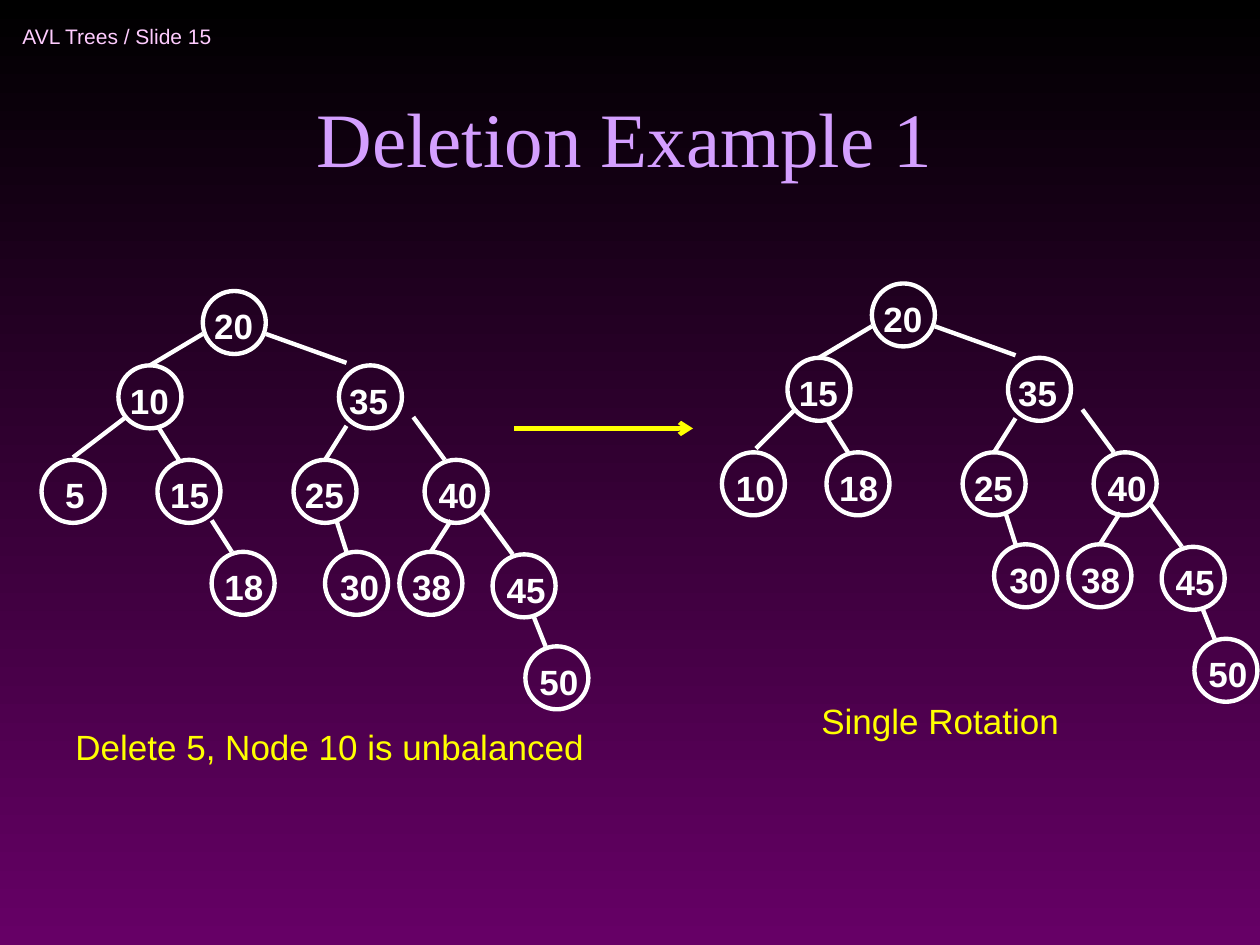
from pptx import Presentation
from pptx.dml.color import RGBColor
from pptx.enum.shapes import MSO_CONNECTOR, MSO_SHAPE
from pptx.enum.text import MSO_ANCHOR, MSO_AUTO_SIZE, PP_ALIGN
from pptx.oxml.ns import qn
from pptx.util import Inches, Pt
from lxml import etree

STRAIGHT = MSO_CONNECTOR.STRAIGHT
OVAL = MSO_SHAPE.OVAL
TOP, MIDDLE, BOTTOM = MSO_ANCHOR.TOP, MSO_ANCHOR.MIDDLE, MSO_ANCHOR.BOTTOM
NO_AUTOFIT = MSO_AUTO_SIZE.NONE
LEFT, CENTER = PP_ALIGN.LEFT, PP_ALIGN.CENTER

BLACK = RGBColor(0x00, 0x00, 0x00)
PURPLE = RGBColor(0x66, 0x00, 0x66)
PINK = RGBColor(0xFF, 0xCC, 0xFF)
LILAC = RGBColor(0xD4, 0x9F, 0xFF)
YELLOW = RGBColor(0xFF, 0xFF, 0x00)
WHITE = RGBColor(0xFF, 0xFF, 0xFF)

DIAMETER = 0.5
LINE_WIDTH = Pt(2.5)
LABEL_WIDTH, LABEL_HEIGHT, LABEL_DROP = 0.51, 0.44, 0.06

# Each node: value, x, y, label shift, edge from its parent (start, end) or None.
# All places are relative to the top left of the tree.
RIGHT_BRANCH = [
    (20, 1.28, 0, -0.01, None),
    (35, 2.36, 0.59, -0.02, ((1.78, 0.34), (2.42, 0.57))),
    (25, 2, 1.34, -0.01, ((2.42, 1.07), (2.25, 1.34))),
    (40, 3.04, 1.34, 0.01, ((2.95, 1), (3.2, 1.34))),
    (30, 2.25, 2.07, 0.02, ((2.34, 1.82), (2.42, 2.07))),
    (38, 2.84, 2.07, 0, ((3.25, 1.82), (3.09, 2.07))),
    (45, 3.58, 2.09, 0.01, ((3.49, 1.75), (3.74, 2.09))),
    (50, 3.84, 2.82, 0.01, ((3.9, 2.57), (4, 2.82))),
]


def left_branch(parent, left_child, right_child, left_x, left_edge_end):
    return [
        (parent, 0.61, 0.59, -0.01, ((1.28, 0.34), (0.86, 0.59))),
        (left_child, left_x, 1.34, 0.01, ((0.67, 1), left_edge_end)),
        (right_child, 0.92, 1.34, 0, ((0.92, 1.07), (1.09, 1.34))),
    ]


UNBALANCED_TREE = RIGHT_BRANCH + left_branch(10, 5, 15, 0, (0.25, 1.32)) + [
    (18, 1.35, 2.07, 0, ((1.35, 1.82), (1.51, 2.07))),
]
ROTATED_TREE = RIGHT_BRANCH + left_branch(15, 10, 18, 0.09, (0.36, 1.31))


def write_text(shape, text, size, color, font="Arial", bold=False, align=LEFT,
               anchor=TOP, wrap=False, space_before=0):
    frame = shape.text_frame
    frame.auto_size = NO_AUTOFIT
    frame.word_wrap = wrap
    frame.vertical_anchor = anchor
    paragraph = frame.paragraphs[0]
    paragraph.alignment = align
    paragraph.space_before = Pt(space_before)
    run = paragraph.add_run()
    run.text = text
    run.font.name = font
    run.font.size = Pt(size)
    run.font.bold = bold
    run.font.color.rgb = color


def add_text(slide, box, text, size, color, **text_format):
    shape = slide.shapes.add_textbox(*map(Inches, box))
    write_text(shape, text, size, color, **text_format)


def add_line(slide, start, end, color):
    line = slide.shapes.add_connector(STRAIGHT, *map(Inches, (*start, *end)))
    line.line.color.rgb = color
    line.line.width = LINE_WIDTH
    etree.SubElement(line._element.spPr, qn("a:effectLst"))
    return line


def add_arrow(slide, start, end, color):
    arrow = add_line(slide, start, end, color)
    etree.SubElement(arrow.line._get_or_add_ln(), qn("a:tailEnd"), type="arrow")


def add_node(slide, left, top, value, label_shift):
    circle = slide.shapes.add_shape(
        OVAL, *map(Inches, (left, top, DIAMETER, DIAMETER)))
    circle.shadow.inherit = False
    circle.fill.background()
    circle.line.color.rgb = WHITE
    circle.line.width = LINE_WIDTH
    label_box = (left + label_shift, top + LABEL_DROP, LABEL_WIDTH, LABEL_HEIGHT)
    add_text(slide, label_box, str(value), 20, WHITE,
             bold=True, align=CENTER, space_before=5)


def add_tree(slide, left, top, nodes):
    for value, x, y, label_shift, edge in nodes:
        if edge:
            start, end = [(left + px, top + py) for px, py in edge]
            add_line(slide, start, end, WHITE)
        add_node(slide, left + x, top + y, value, label_shift)


def format_title(slide, box, text):
    title = slide.shapes.title
    title.left, title.top, title.width, title.height = map(Inches, box)
    write_text(title, text, 44, LILAC, font="Times New Roman",
               align=CENTER, anchor=BOTTOM, wrap=True)


def paint_background(slide):
    fill = slide.background.fill
    fill.gradient()
    fill.gradient_angle = 270
    for stop, color in zip(fill.gradient_stops, (BLACK, PURPLE)):
        stop.color.rgb = color


def main():
    presentation = Presentation()
    presentation.slide_width = Inches(10)
    presentation.slide_height = Inches(7.5)
    slide = presentation.slides.add_slide(presentation.slide_layouts[5])

    paint_background(slide)
    add_text(slide, (0.08, 0.08, 2.75, 0.42), "AVL Trees / Slide 15", 12, PINK,
             anchor=MIDDLE)
    format_title(slide, (0.67, 0.25, 8.58, 1.25), "Deletion Example 1")
    add_tree(slide, 0.33, 2.31, UNBALANCED_TREE)
    add_arrow(slide, (4.08, 3.4), (5.5, 3.4), YELLOW)
    add_tree(slide, 5.64, 2.25, ROTATED_TREE)
    add_text(slide, (0.5, 5.71, 4.24, 0.44), "Delete 5, Node 10 is unbalanced",
             20, YELLOW, space_before=5)
    add_text(slide, (6.42, 5.5, 2.09, 0.84), "Single Rotation",
             20, YELLOW, space_before=5)
    presentation.save("out.pptx")


if __name__ == "__main__":
    main()
